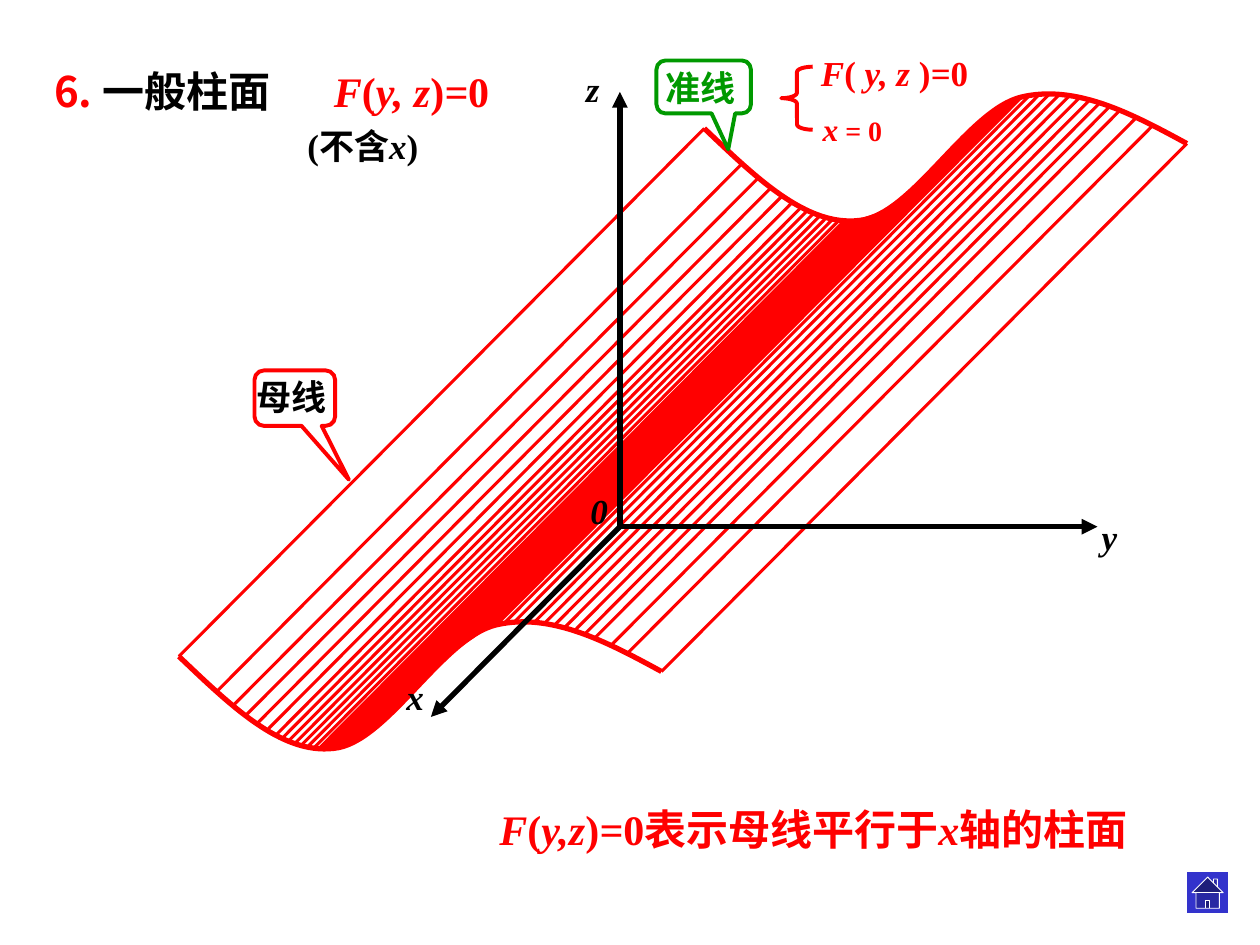
from lxml import etree
from pptx import Presentation
from pptx.dml.color import RGBColor
from pptx.enum.shapes import MSO_CONNECTOR, MSO_SHAPE
from pptx.enum.text import MSO_ANCHOR, MSO_AUTO_SIZE, PP_ALIGN
from pptx.oxml.ns import qn
from pptx.util import Inches, Pt

STRAIGHT = MSO_CONNECTOR.STRAIGHT
CALLOUT = MSO_SHAPE.ROUNDED_RECTANGULAR_CALLOUT
BRACE = MSO_SHAPE.LEFT_BRACE
HOME = MSO_SHAPE.ACTION_BUTTON_HOME
MIDDLE, TOP = MSO_ANCHOR.MIDDLE, MSO_ANCHOR.TOP
CENTER, LEFT = PP_ALIGN.CENTER, PP_ALIGN.LEFT
FIXED = MSO_AUTO_SIZE.NONE

RED, BLACK, GREEN, BLUE, WHITE = "FF0000", "000000", "009900", "3333CC", "FFFFFF"
SERIF, HAN = "Times New Roman", "Noto Sans CJK SC"
ITALIC = {"italic": True}
HAN_RUN = {"name": HAN}

TITLE_BOX = (0.33, 0.33, 3.7, 0.56)
FORMULA_TAB = 2.22
TITLE = [("6. ", {"name": HAN, "color": RED}), ("一般", HAN_RUN), ("柱面", {}),
         ("\t", {"size": 44}), ("F", {"color": RED, **ITALIC}), ("(", {"color": RED}),
         ("y, z", {"color": RED, **ITALIC}), (")", {"color": RED}),
         ("=", {"color": RED, **ITALIC}), ("0", {"color": RED})]

LABELS = [
    ((1.8, 2.93, 1.03, 0.43), 20, BLACK, MIDDLE, CENTER, [("母线", {})]),
    ((5.18, 0.48, 0.81, 0.43), 20, GREEN, TOP, LEFT, [("准线", {})]),
    ((2.34, 0.94, 1.08, 0.43), 20, BLACK, MIDDLE, CENTER,
     [("(不含", {}), ("x", ITALIC), (")", {})]),
    ((6.33, 0.36, 1.54, 0.43), 20, RED, MIDDLE, CENTER,
     [("F", ITALIC), ("(", {}), (" y, z", ITALIC), (" )", {}), ("=", ITALIC), ("0", {})]),
    ((6.36, 0.82, 0.81, 0.4), 16, RED, MIDDLE, CENTER,
     [("x", {"size": 18, **ITALIC}), (" = 0", {})]),
    ((2.91, 5.31, 0.77, 0.43), 20, BLACK, MIDDLE, CENTER, [("x", ITALIC)]),
    ((4.23, 0.49, 0.95, 0.43), 20, BLACK, MIDDLE, CENTER, [("z", ITALIC)]),
    ((8.53, 4.04, 0.55, 0.43), 20, BLACK, MIDDLE, CENTER, [("y", ITALIC)]),
    ((4.45, 3.84, 0.61, 0.43), 20, BLACK, MIDDLE, CENTER, [("0", ITALIC)]),
    ((3.84, 6.33, 5.23, 0.5), 24, RED, MIDDLE, CENTER,
     [("F", ITALIC), ("(", {}), ("y,z", ITALIC), (")", {}), ("=", ITALIC), ("0", {}),
      ("表示母线平行于", HAN_RUN), ("x", ITALIC), ("轴的柱面", HAN_RUN)]),
]

OUTLINES = [
    (CALLOUT, (2.02, 2.94, 0.64, 0.44), (0.67, 1.47, 0.17), None, RED, 2.25),
    (CALLOUT, (5.21, 0.48, 0.75, 0.42), (0.26, 1.18, 0.17), None, GREEN, 2.25),
    (BRACE, (6.2, 0.53, 0.25, 0.5), (0.17, 0.5), None, RED, 2.25),
    (HOME, (9.42, 6.92, 0.33, 0.33), (), BLUE, WHITE, 0.5),
]

ORIGIN = (4.92, 4.18)
AXIS_TIPS = [(8.71, 4.18), (4.92, 0.73), (3.42, 5.69)]

DIRECTRIX = [(5.59, 1.02), (6, 1.41), (6.4, 1.8), (6.82, 1.75), (7.24, 1.71),
             (7.68, 0.87), (8.11, 0.77), (8.54, 0.67), (8.98, 0.9), (9.42, 1.14)]
RULING_SHIFT = (-4.17, 4.19)
DENSE_BAND = [6.7, 6.82, 7, 7.2, 7.4, 7.6, 7.8, 8, 8.11]
RULINGS = ([5.59, 5.89, 6.02, 6.12, 6.21, 6.29] + [6.36 + 0.05 * n for n in range(7)]
           + [8.17 + 0.08 * n for n in range(10)] + [9.02, 9.15, 9.42])


def rgb(color):
    """Turn a hex string into a colour."""
    return RGBColor.from_string(color)


def directrix_point(x):
    """Give the point of the piecewise cubic at x."""
    first = next(n for n in (0, 3, 6) if x <= DIRECTRIX[n + 3][0])
    controls = DIRECTRIX[first:first + 4]
    start, end = controls[0][0], controls[-1][0]
    t = (x - start) / (end - start)
    y = sum(weight * height * t ** n * (1 - t) ** (3 - n)
            for n, (weight, (_, height)) in enumerate(zip((1, 3, 3, 1), controls)))
    return x, y


def along_ruling(point):
    """Move a point along the ruling to the near edge."""
    return tuple(p + d for p, d in zip(point, RULING_SHIFT))


def lengths(points):
    """Turn points in inches into whole lengths."""
    return [tuple(map(Inches, point)) for point in points]


def style(shape, fill, line, width):
    """Set fill and line and drop the shadow."""
    shape.shadow.inherit = False
    if fill:
        shape.fill.solid()
        shape.fill.fore_color.rgb = rgb(fill)
    else:
        shape.fill.background()
    shape.line.color.rgb = rgb(line)
    shape.line.width = Pt(width)


def add_curve(shapes, controls):
    """Draw a chain of cubic segments through the control points."""
    start, *rest = lengths(controls)
    builder = shapes.build_freeform(*start)
    builder.add_line_segments(rest, close=False)
    curve = builder.convert_to_shape()
    steps = list(curve._element.iter(qn("a:lnTo")))
    for n in range(0, len(steps), 3):
        cubic = etree.SubElement(steps[n].getparent(), qn("a:cubicBezTo"))
        for step in steps[n:n + 3]:
            cubic.append(step[0])
            step.getparent().remove(step)
    style(curve, None, RED, 3)


def add_sheet(shapes):
    """Draw the rulings and the dense band as one freeform."""
    far_band = [directrix_point(x) for x in DENSE_BAND]
    band = lengths(far_band + [along_ruling(p) for p in reversed(far_band)])
    builder = shapes.build_freeform(*band[0])
    builder.add_line_segments(band[1:], close=True)
    for x in RULINGS:
        far = directrix_point(x)
        start, end = lengths([far, along_ruling(far)])
        builder.move_to(*start)
        builder.add_line_segments([end], close=False)
    style(builder.convert_to_shape(), RED, RED, 1.75)


def add_axis(shapes, tip):
    """Draw an axis arrow from the origin."""
    axis = shapes.add_connector(STRAIGHT, *map(Inches, ORIGIN + tip))
    axis.line.color.rgb = rgb(BLACK)
    axis.line.width = Pt(3)
    properties = axis._element.spPr
    etree.SubElement(properties.find(qn("a:ln")), qn("a:tailEnd"), type="triangle")
    etree.SubElement(properties, qn("a:effectLst"))


def write(shape, runs, size, color, anchor, align):
    """Fill a text frame with one paragraph of bold runs."""
    frame = shape.text_frame
    layout = {"word_wrap": True, "auto_size": FIXED, "vertical_anchor": anchor}
    for attribute, value in layout.items():
        setattr(frame, attribute, value)
    paragraph = frame.paragraphs[0]
    paragraph.alignment = align
    for text, changes in runs:
        run = paragraph.add_run()
        run.text = text
        look = {"name": SERIF, "bold": True, "italic": False,
                "size": size, "color": color, **changes}
        run.font.color.rgb = rgb(look.pop("color"))
        look["size"] = Pt(look["size"])
        for attribute, value in look.items():
            setattr(run.font, attribute, value)
        etree.SubElement(run.font._element, qn("a:ea"), typeface=HAN)
    return paragraph


def main():
    """Build and save the slide."""
    deck = Presentation()
    deck.slide_width, deck.slide_height = Inches(10), Inches(7.5)
    slide = deck.slides.add_slide(deck.slide_layouts[5])
    shapes = slide.shapes
    title = shapes.title
    title.left, title.top, title.width, title.height = map(Inches, TITLE_BOX)
    heading = write(title, TITLE, 24, BLACK, MIDDLE, LEFT)
    tabs = etree.SubElement(heading._p.get_or_add_pPr(), qn("a:tabLst"))
    etree.SubElement(tabs, qn("a:tab"), pos=str(Inches(FORMULA_TAB)), algn="l")
    add_sheet(shapes)
    add_curve(shapes, DIRECTRIX)
    add_curve(shapes, [along_ruling(point) for point in DIRECTRIX])
    for preset, box, adjustments, fill, line, width in OUTLINES:
        outline = shapes.add_shape(preset, *map(Inches, box))
        for n, value in enumerate(adjustments):
            outline.adjustments[n] = value
        style(outline, fill, line, width)
    for tip in AXIS_TIPS:
        add_axis(shapes, tip)
    for box, size, color, anchor, align, runs in LABELS:
        write(shapes.add_textbox(*map(Inches, box)), runs, size, color, anchor, align)
    deck.save("out.pptx")


if __name__ == "__main__":
    main()
